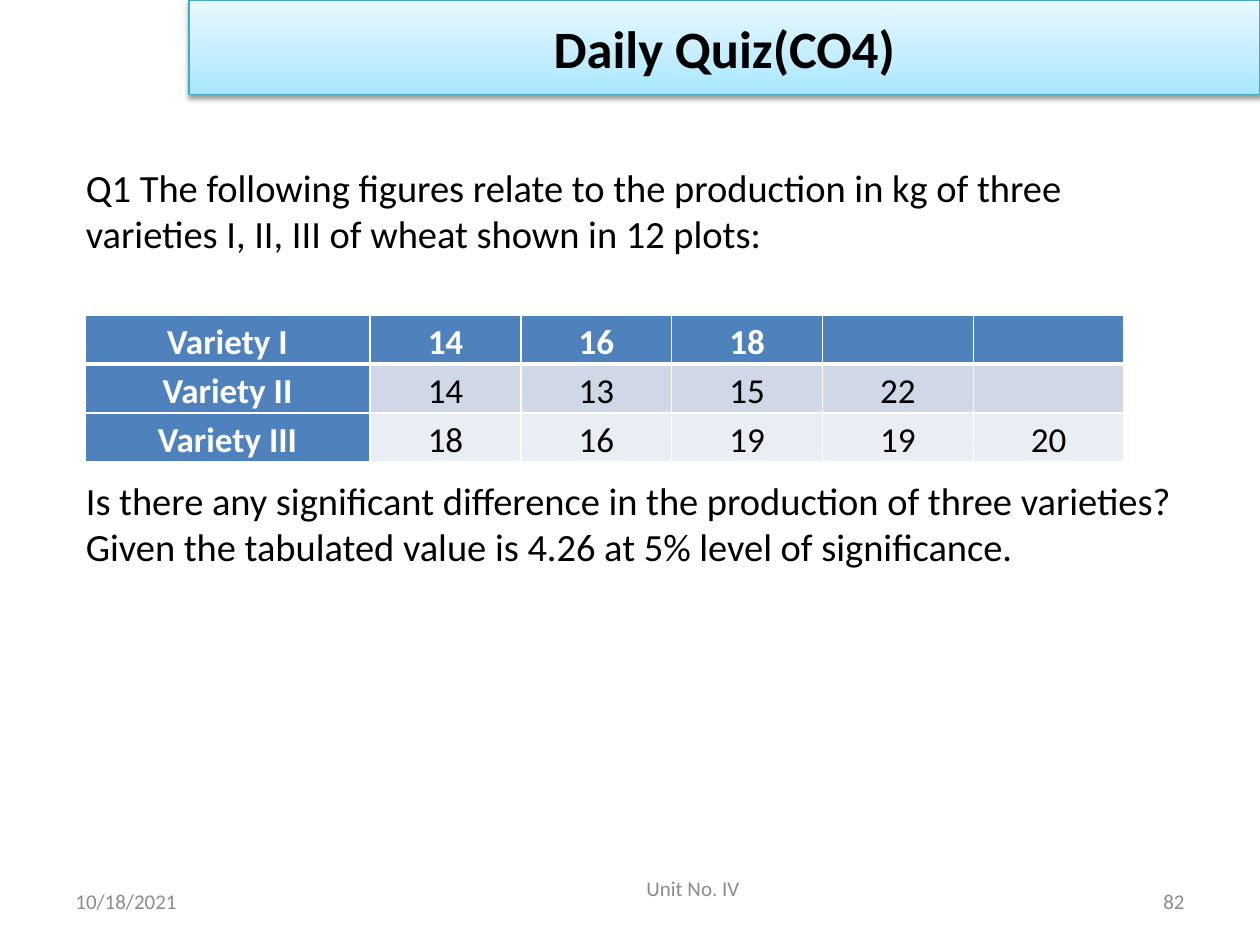
from dataclasses import dataclass

from lxml import etree
from pptx import Presentation
from pptx.dml.color import RGBColor
from pptx.enum.shapes import MSO_SHAPE
from pptx.enum.text import MSO_ANCHOR, PP_ALIGN
from pptx.oxml import parse_xml
from pptx.oxml.ns import nsdecls
from pptx.util import Pt

RECTANGLE = MSO_SHAPE.RECTANGLE
TOP, MIDDLE = MSO_ANCHOR.TOP, MSO_ANCHOR.MIDDLE
LEFT, CENTER, RIGHT = PP_ALIGN.LEFT, PP_ALIGN.CENTER, PP_ALIGN.RIGHT


@dataclass
class Theme:
    font: str = "Calibri"
    black: str = "000000"
    white: str = "FFFFFF"
    gray: str = "8C8C8C"
    header: str = "4F81BD"
    bands: tuple = ("D0D8E8", "E9EDF4")
    banner_line: str = "46AAC5"
    banner_stops: tuple = ((0, "A7E6FF"), (35, "C1EDFF"), (100, "E7F8FF"))
    title_size: int = 30
    body_size: int = 22
    table_size: int = 20
    footer_size: int = 12


theme = Theme()


def style_paragraph(paragraph, size, color, align=LEFT, bold=False):
    paragraph.alignment = align
    for run in paragraph.runs:
        run.font.name = theme.font
        run.font.size = Pt(size)
        run.font.bold = bold
        run.font.color.rgb = RGBColor.from_string(color)


def add_text(left, top, width, height, text, size, color, align=LEFT, anchor=TOP):
    shape = slide.shapes.add_textbox(Pt(left), Pt(top), Pt(width), Pt(height))
    text_frame = shape.text_frame
    text_frame.word_wrap = True
    text_frame.vertical_anchor = anchor
    text_frame.text = text
    for paragraph in text_frame.paragraphs:
        style_paragraph(paragraph, size, color, align)
    return text_frame


presentation = Presentation()
presentation.slide_width, presentation.slide_height = Pt(720), Pt(540)
slide = presentation.slides.add_slide(presentation.slide_layouts[6])

# Question, with room for the table between its two paragraphs
question = add_text(
    42, 90, 648, 356,
    "Q1 The following figures relate to the production in kg of three "
    "varieties I, II, III of wheat shown in 12 plots:\n"
    "Is there any significant difference in the production of three varieties? "
    "Given the tabulated value is 4.26 at 5% level of significance.",
    theme.body_size, theme.black)
question.paragraphs[1].space_before = Pt(126)

# Footer
footer_style = (theme.footer_size, theme.gray)
add_text(36, 500.5, 168, 29, "10/18/2021", *footer_style, LEFT, MIDDLE)
unit = add_text(198, 500.5, 396, 29, "Unit No. IV", *footer_style, CENTER)
unit.margin_top = 0
add_text(516, 500.5, 168, 29, "82", *footer_style, RIGHT, MIDDLE)

# Production table
rows = [
    ("Variety I", "14", "16", "18", "", ""),
    ("Variety II", "14", "13", "15", "22", ""),
    ("Variety III", "18", "16", "19", "19", "20"),
]
column_widths = [163] + [86.2] * 5
row_height = 28
table = slide.shapes.add_table(
    len(rows), len(column_widths), Pt(48.5), Pt(180),
    Pt(sum(column_widths)), Pt(row_height * len(rows))).table
for column, width in zip(table.columns, column_widths):
    column.width = Pt(width)
for row_index, values in enumerate(rows):
    table.rows[row_index].height = Pt(row_height)
    for column_index, value in enumerate(values):
        cell = table.cell(row_index, column_index)
        is_header = row_index == 0 or column_index == 0
        fill_color = theme.header if is_header else theme.bands[row_index - 1]
        cell.margin_left = cell.margin_right = Pt(5)
        cell.margin_top = cell.margin_bottom = 0
        cell.text = value
        paragraph = cell.text_frame.paragraphs[0]
        paragraph.line_spacing = 1.15
        style_paragraph(paragraph, theme.table_size,
                        theme.white if is_header else theme.black, CENTER, is_header)

        # Borders come before the fill; a thick rule sits under the header row
        border_widths = {"lnL": 1, "lnR": 1,
                         "lnT": 3 if row_index == 1 else 1,
                         "lnB": 3 if row_index == 0 else 1}
        for side, width in border_widths.items():
            cell_properties = cell._tc.get_or_add_tcPr()
            cell_properties.append(parse_xml(
                f'<a:{side} {nsdecls("a")} w="{Pt(width)}"><a:solidFill>'
                f'<a:srgbClr val="{theme.white}"/></a:solidFill></a:{side}>'))
        cell.fill.solid()
        cell.fill.fore_color.rgb = RGBColor.from_string(fill_color)

# Title banner
banner = slide.shapes.add_shape(RECTANGLE, Pt(108), 0, Pt(612), Pt(54))
banner.line.color.rgb = RGBColor.from_string(theme.banner_line)
banner.line.width = Pt(0.75)
banner.fill.gradient()
banner.fill.gradient_angle = 90
stop_list = banner._element.spPr.find(".//{*}gsLst")
for stop in list(stop_list):
    stop_list.remove(stop)
for position, color in theme.banner_stops:
    stop_list.append(parse_xml(
        f'<a:gs {nsdecls("a")} pos="{position * 1000}"><a:srgbClr val="{color}"/></a:gs>'))
banner.shadow.inherit = False
effects = banner._element.spPr.find("{*}effectLst")
shadow = parse_xml(
    f'<a:outerShdw {nsdecls("a")} blurRad="{Pt(3.1)}" dist="{Pt(1.6)}" dir="5400000" '
    f'rotWithShape="0"><a:srgbClr val="{theme.black}"/></a:outerShdw>')
etree.SubElement(shadow[0], shadow[0].tag.replace("srgbClr", "alpha"), val="38000")
effects.append(shadow)
banner.text_frame.vertical_anchor = MIDDLE
banner.text_frame.text = "Daily Quiz(CO4)"
style_paragraph(banner.text_frame.paragraphs[0], theme.title_size, theme.black, CENTER, True)

presentation.save("out.pptx")
